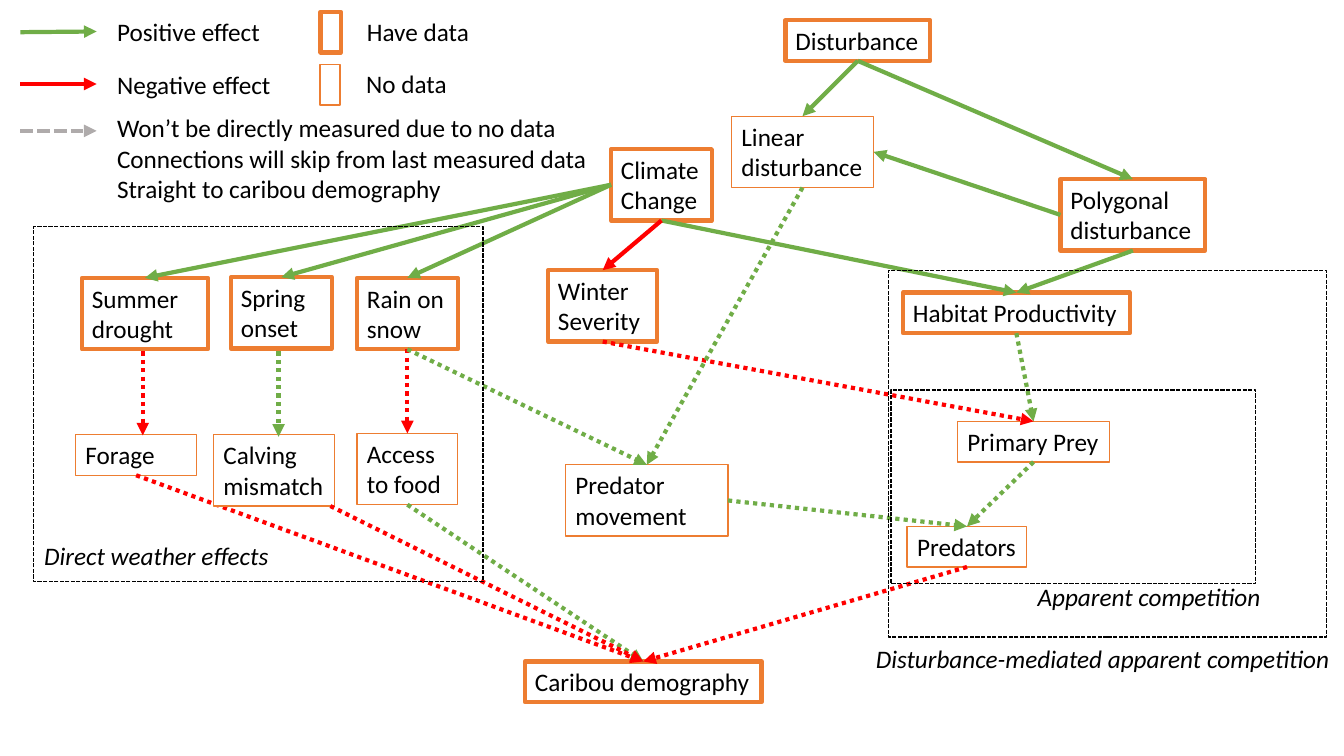
from lxml.etree import SubElement
from pptx import Presentation
from pptx.dml.color import RGBColor
from pptx.enum.dml import MSO_LINE as Dash
from pptx.enum.shapes import MSO_CONNECTOR as Connector, MSO_SHAPE as Preset
from pptx.enum.text import MSO_ANCHOR as Anchor, MSO_AUTO_SIZE as Fit, PP_ALIGN as Align
from pptx.oxml.ns import qn
from pptx.util import Pt

GREEN = RGBColor(0x70, 0xAD, 0x47)
RED = RGBColor(0xFF, 0x00, 0x00)
GREY = RGBColor(0xAF, 0xAB, 0xAB)
ORANGE = RGBColor(0xED, 0x7D, 0x31)
WHITE = RGBColor(0xFF, 0xFF, 0xFF)
BLACK = RGBColor(0x00, 0x00, 0x00)
TOP, LEFT, BOTTOM, RIGHT = range(4)
MEASURED, UNMEASURED = 3, 1
LABEL_FONT = {"name": "Calibri", "size": Pt(18)}

deck = Presentation()
deck.slide_width, deck.slide_height = Pt(960), Pt(540)
slide = deck.slides.add_slide(deck.slide_layouts[6])


def write(frame, text, wrap, italic=False):
    frame.text = text
    layout = {"word_wrap": wrap, "auto_size": Fit.SHAPE_TO_FIT_TEXT, "vertical_anchor": Anchor.TOP}
    for name, value in layout.items():
        setattr(frame, name, value)
    for paragraph in frame.paragraphs:
        paragraph.alignment = Align.LEFT
        for run in paragraph.runs:
            for name, value in {**LABEL_FONT, "italic": italic}.items():
                setattr(run.font, name, value)
            run.font.color.rgb = BLACK


def arrow(color, dash, x1=0, y1=0, x2=0, y2=0):
    effect = slide.shapes.add_connector(Connector.STRAIGHT, Pt(x1), Pt(y1), Pt(x2), Pt(y2))
    effect.line.color.rgb = color
    for name, value in {"width": Pt(3), "dash_style": dash}.items():
        setattr(effect.line, name, value)
    properties = effect.element.spPr
    SubElement(properties.find(qn("a:ln")), qn("a:tailEnd"), type="triangle")
    SubElement(properties, qn("a:effectLst"))
    return effect


factors = {}
for label, x, y, w, h, weight, wrap in [
    ("Caribou demography", 375, 472.5, 169, 29, MEASURED, False),
    ("Primary Prey", 684, 301, 108.5, 29, UNMEASURED, False),
    ("Predators", 648, 376, 85.5, 29, UNMEASURED, False),
    ("Habitat Productivity", 645, 209, 162, 29, MEASURED, False),
    ("Polygonal disturbance", 757.5, 128, 103.5, 51, MEASURED, True),
    ("Climate Change", 436.5, 106.5, 72, 51, MEASURED, True),
    ("Access to food", 255, 309.5, 72, 51, UNMEASURED, True),
    ("Rain on snow", 255, 198.5, 72, 51, MEASURED, True),
    ("Winter Severity", 391.5, 193, 78, 51, MEASURED, True),
    ("Predator movement", 404, 332, 116, 51, UNMEASURED, True),
    ("Spring onset", 165, 198, 72, 51, MEASURED, True),
    ("Summer drought", 58.5, 198.5, 90, 51, MEASURED, True),
    ("Calving mismatch", 152.5, 310.5, 86.5, 51, UNMEASURED, True),
    ("Forage", 54, 310.5, 86.5, 29, UNMEASURED, True),
    ("Linear disturbance", 522.5, 83, 101.5, 51, UNMEASURED, True),
    ("Disturbance", 561, 14.5, 103.5, 29, MEASURED, False),
    ("", 229, 8.5, 14.5, 29, MEASURED, True),
    ("", 228.5, 46, 14.5, 29, UNMEASURED, True),
]:
    factor = slide.shapes.add_shape(Preset.RECTANGLE, Pt(x), Pt(y), Pt(w), Pt(h))
    factor.shadow.inherit = False
    factor.fill.solid()
    factor.fill.fore_color.rgb = WHITE
    factor.line.color.rgb = ORANGE
    factor.line.width = Pt(weight)
    write(factor.text_frame, label, wrap)
    factors[label] = factor

for cause, start, outcome, end, color, dash in [
    ("Forage", BOTTOM, "Caribou demography", TOP, RED, Dash.ROUND_DOT),
    ("Climate Change", BOTTOM, "Habitat Productivity", TOP, GREEN, None),
    ("Polygonal disturbance", BOTTOM, "Habitat Productivity", TOP, GREEN, None),
    ("Habitat Productivity", BOTTOM, "Primary Prey", TOP, GREEN, Dash.ROUND_DOT),
    ("Primary Prey", BOTTOM, "Predators", TOP, GREEN, Dash.ROUND_DOT),
    ("Predators", BOTTOM, "Caribou demography", TOP, RED, Dash.ROUND_DOT),
    ("Climate Change", BOTTOM, "Winter Severity", TOP, RED, None),
    ("Climate Change", LEFT, "Rain on snow", TOP, GREEN, None),
    ("Winter Severity", BOTTOM, "Primary Prey", TOP, RED, Dash.ROUND_DOT),
    ("Rain on snow", BOTTOM, "Access to food", TOP, RED, Dash.ROUND_DOT),
    ("Access to food", BOTTOM, "Caribou demography", TOP, GREEN, Dash.ROUND_DOT),
    ("Rain on snow", BOTTOM, "Predator movement", TOP, GREEN, Dash.ROUND_DOT),
    ("Predator movement", RIGHT, "Predators", TOP, GREEN, Dash.ROUND_DOT),
    ("Climate Change", LEFT, "Spring onset", TOP, GREEN, None),
    ("Climate Change", LEFT, "Summer drought", TOP, GREEN, None),
    ("Linear disturbance", BOTTOM, "Predator movement", TOP, GREEN, Dash.ROUND_DOT),
    ("Disturbance", BOTTOM, "Polygonal disturbance", TOP, GREEN, None),
    ("Disturbance", BOTTOM, "Linear disturbance", TOP, GREEN, None),
    ("Polygonal disturbance", LEFT, "Linear disturbance", RIGHT, GREEN, None),
]:
    effect = arrow(color, dash)
    effect.begin_connect(factors[cause], start)
    effect.end_connect(factors[outcome], end)

calving = factors["Calving mismatch"].element
calving.getparent().append(calving)
arrow(GREEN, Dash.ROUND_DOT, 199, 251, 199, 312)
arrow(RED, Dash.ROUND_DOT, 102, 251, 102, 311)
calving_effect = arrow(RED, Dash.ROUND_DOT, 236, 361.5)
calving_effect.end_connect(factors["Caribou demography"], TOP)

for color, dash, y1, y2 in [
    (GREEN, None, 23, 22.5), (RED, None, 60, 60), (GREY, Dash.SQUARE_DOT, 93.5, 93.5),
]:
    arrow(color, dash, 14.5, y1, 69, y2)

for x, y, w, h in [
    (24, 162, 321, 253.5), (636.5, 278.5, 260.5, 138.5), (634.5, 193, 313, 262),
]:
    pathway = slide.shapes.add_shape(Preset.RECTANGLE, Pt(x), Pt(y), Pt(w), Pt(h))
    pathway.shadow.inherit = False
    pathway.fill.background()
    pathway.line.color.rgb = BLACK
    for name, value in {"width": Pt(1), "dash_style": Dash.SQUARE_DOT}.items():
        setattr(pathway.line, name, value)

for text, x, y, w, h, italic in [
    ("Positive effect", 76.5, 8, 118, 29, False),
    ("Negative effect", 76.5, 46, 126, 29, False),
    ("Won’t be directly measured due to no data\n"
     "Connections will skip from last measured data\n"
     "Straight to caribou demography", 76.5, 77, 353.5, 72.5, False),
    ("Have data", 255, 8, 88.5, 29, False),
    ("No data", 254.5, 45.5, 72.5, 29, False),
    ("Direct weather effects", 24.5, 382.5, 177, 29, True),
    ("Apparent competition", 734, 412, 175.5, 29, True),
    ("Disturbance-mediated apparent competition", 618.5, 456, 342, 29, True),
]:
    caption = slide.shapes.add_textbox(Pt(x), Pt(y), Pt(w), Pt(h))
    write(caption.text_frame, text, False, italic)

deck.save("out.pptx")
